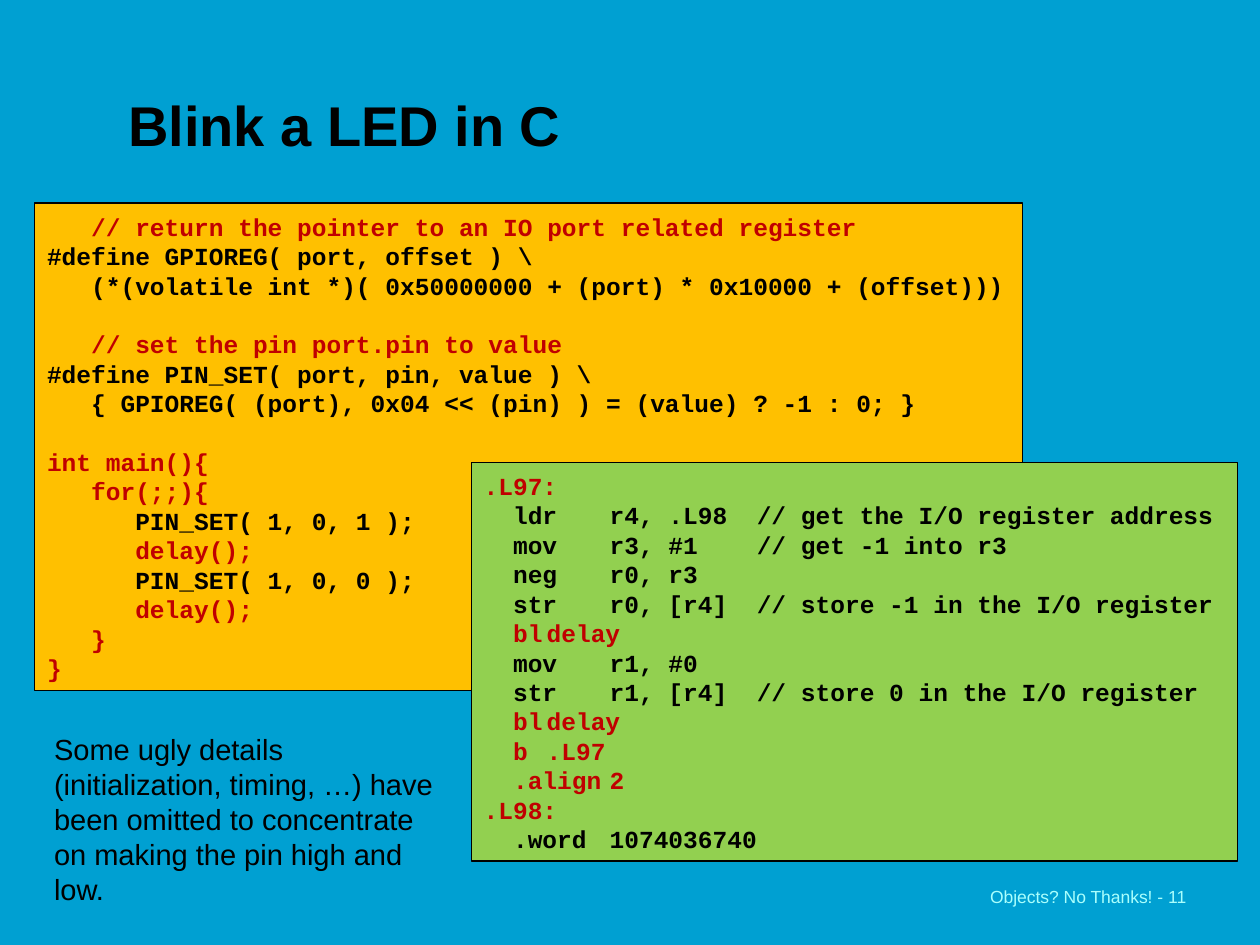
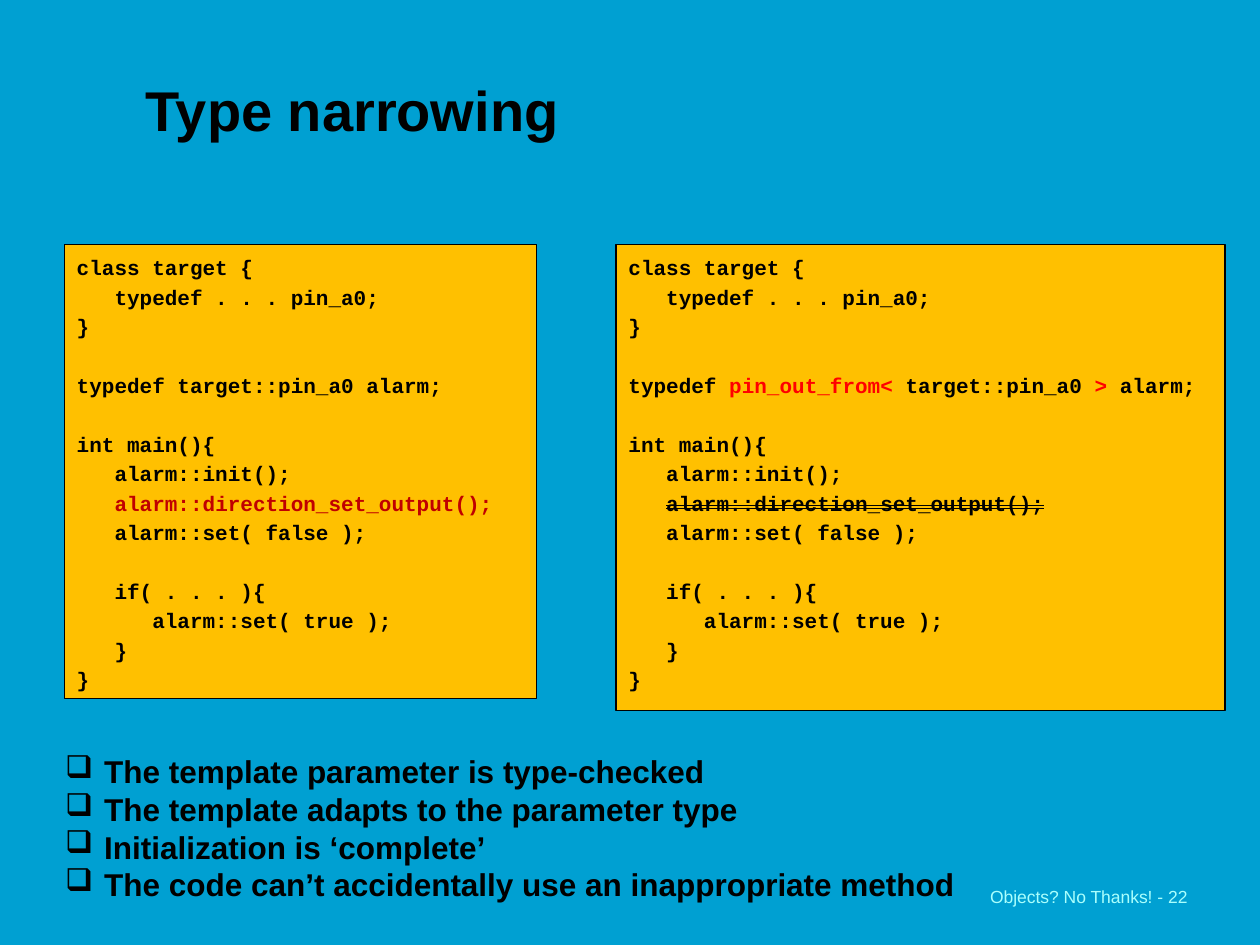
from pptx import Presentation
from pptx import util as u
from pptx.dml.color import RGBColor
from pptx.enum import shapes, text
from pptx.oxml.xmlchemy import OxmlElement

Pt = u.Pt

# Shared look
BLUE = RGBColor(0x00, 0xA0, 0xD2)
BLACK = RGBColor(0x00, 0x00, 0x00)
AMBER = RGBColor(0xFF, 0xC0, 0x00)
GREEN = RGBColor(0x92, 0xD0, 0x50)
DARK_RED = RGBColor(0xC0, 0x00, 0x00)
BRIGHT_RED = RGBColor(0xFF, 0x00, 0x00)
PALE_CYAN = RGBColor(0xAA, 0xFF, 0xFD)
SANS, MONO = "Arial", "Courier New"
LINE_PITCH = 1.2

# In the code below, a marker character encloses a span with its own format
RED_MARK = {"|": {"color": DARK_RED}}
NARROWED_MARKS = {"|": {"color": BRIGHT_RED}, "~": {"strike": True}}

C_CODE = r"""|   // return the pointer to an IO port related register|
#define GPIOREG( port, offset ) \
   (*(volatile int *)( 0x50000000 + (port) * 0x10000 + (offset)))

|   // set the pin port.pin to value|
#define PIN_SET( port, pin, value ) \
   { GPIOREG( (port), 0x04 << (pin) ) = (value) ? -1 : 0; }

|int main(){|
|   for(;;){|
      PIN_SET( 1, 0, 1 );
|      delay();|
      PIN_SET( 1, 0, 0 );
|      delay();|
|   }|
|}|"""

ASSEMBLY_CODE = """|.L97:|
  ldr\tr4, .L98  // get the I/O register address
  mov\tr3, #1    // get -1 into r3
  neg\tr0, r3
  str\tr0, [r4]  // store -1 in the I/O register
|  bl\tdelay|
  mov\tr1, #0
  str\tr1, [r4]  // store 0 in the I/O register
|  bl\tdelay|
|  b\t.L97|
|  .align\t2|
|.L98:|
  .word\t1074036740"""

ALARM_CODE = """class target {
   typedef . . . pin_a0;
}

typedef ALARM_TYPE alarm;

int main(){
   alarm::init();
   DIRECTION_CALL
   alarm::set( false );

   if( . . . ){
      alarm::set( true );
   }
}"""


def alarm_code(alarm_type, mark):
    call = f"{mark}alarm::direction_set_output();{mark}"
    return ALARM_CODE.replace("ALARM_TYPE", alarm_type).replace("DIRECTION_CALL", call)


def add_span(para, words, size, color=BLACK, font=SANS, bold=False, strike=False):
    span = para.add_run()
    span.text = words
    span.font.name, span.font.size, span.font.bold = font, Pt(size), bold
    span.font.color.rgb = color
    if strike:
        span.font._element.set("strike", "dblStrike")


def prepare_frame(box, anchor, top_inset=3.6):
    frame = box.text_frame
    frame.word_wrap = True
    frame.vertical_anchor = anchor
    frame.margin_top = Pt(top_inset)
    return frame


def add_bullet(para, indent):
    props = para._p.get_or_add_pPr()
    props.set("marL", str(Pt(indent)))
    props.set("indent", str(-Pt(indent)))
    bullet = OxmlElement("a:buChar")
    bullet.set("char", "❑")
    props.append(bullet)


def add_text(page, words, left, top, width, height, size, anchor=text.MSO_ANCHOR.TOP,
             bulleted=False, **style):
    box = page.shapes.add_textbox(Pt(left), Pt(top), Pt(width), Pt(height))
    frame = prepare_frame(box, anchor)
    for index, line in enumerate(words.split("\n")):
        para = frame.add_paragraph() if index else frame.paragraphs[0]
        if bulleted:
            add_bullet(para, 22.3)
        if anchor == text.MSO_ANCHOR.TOP:
            para.line_spacing = Pt(round(size * LINE_PITCH, 1))
        add_span(para, line, size, **style)


def add_code(page, code, left, top, width, height, size, fill=AMBER, marks=RED_MARK,
             gap=0, top_inset=5):
    """Code panel; an empty code line becomes space before the next one."""
    panel = page.shapes.add_shape(shapes.MSO_SHAPE.RECTANGLE,
                                  Pt(left), Pt(top), Pt(width), Pt(height))
    panel.shadow.inherit = False
    panel.fill.solid()
    panel.fill.fore_color.rgb = fill
    panel.line.color.rgb = BLACK
    panel.line.width = Pt(0.75)
    frame = prepare_frame(panel, text.MSO_ANCHOR.TOP, top_inset)
    pitch = size * LINE_PITCH
    para, space = None, 0
    for line in code.split("\n"):
        if not line:
            space += pitch + gap
            continue
        para = frame.add_paragraph() if para is not None else frame.paragraphs[0]
        para.alignment = text.PP_ALIGN.LEFT
        para.line_spacing = Pt(pitch)
        para.space_before = Pt(space)
        space = gap
        marker = next((mark for mark in marks if mark in line), "|")
        for index, piece in enumerate(line.split(marker)):
            if piece:
                style = marks[marker] if index % 2 else {}
                add_span(para, piece, size, font=MONO, bold=True, **style)


def add_page(deck, title, title_place, number):
    page = deck.slides.add_slide(deck.slide_layouts[6])
    page.background.fill.solid()
    page.background.fill.fore_color.rgb = BLUE
    add_text(page, title, *title_place, size=32, bold=True, anchor=text.MSO_ANCHOR.BOTTOM)
    add_text(page, f"Objects? No Thanks! - {number}", 558.7, 494.6, 150, 36, size=10,
             color=PALE_CYAN, anchor=text.MSO_ANCHOR.MIDDLE)
    return page


def main():
    deck = Presentation()
    deck.slide_width, deck.slide_height = Pt(720), Pt(540)

    # Blinking in C, with the generated assembly
    page = add_page(deck, "Blink a LED in C", (66.2, 48.2, 486, 45.4), 11)
    add_code(page, C_CODE, 19.8, 116, 564.5, 278.6, size=14)
    add_code(page, ASSEMBLY_CODE, 269.3, 264.2, 437.8, 227.8, size=14, fill=GREEN)
    add_text(page, "Some ugly details (initialization, timing, …) have been omitted "
             "to concentrate on making the pin high and low.",
             23.8, 414.7, 234, 100.8, size=16.6)

    # Plain type beside the narrowed type
    page = add_page(deck, "Type narrowing", (76.3, 31.7, 491.8, 53.3), 22)
    alarm_panels = [
        (36.8, 269.8, 259.4, alarm_code("target::pin_a0", "|"), RED_MARK),
        (352, 348, 266.4, alarm_code("|pin_out_from<| target::pin_a0 |>|", "~"),
         NARROWED_MARKS),
    ]
    for left, width, height, code, marks in alarm_panels:
        add_code(page, code, left, 139.7, width, height, size=12, marks=marks,
                 gap=2.4, top_inset=6)
    add_text(page, "The template parameter is type-checked\n"
             "The template adapts to the parameter type\n"
             "Initialization is ‘complete’\n"
             "The code can’t accidentally use an inappropriate method",
             30.2, 426.2, 676, 90, size=18, bold=True, bulleted=True)

    deck.save("out.pptx")


if __name__ == "__main__":
    main()
